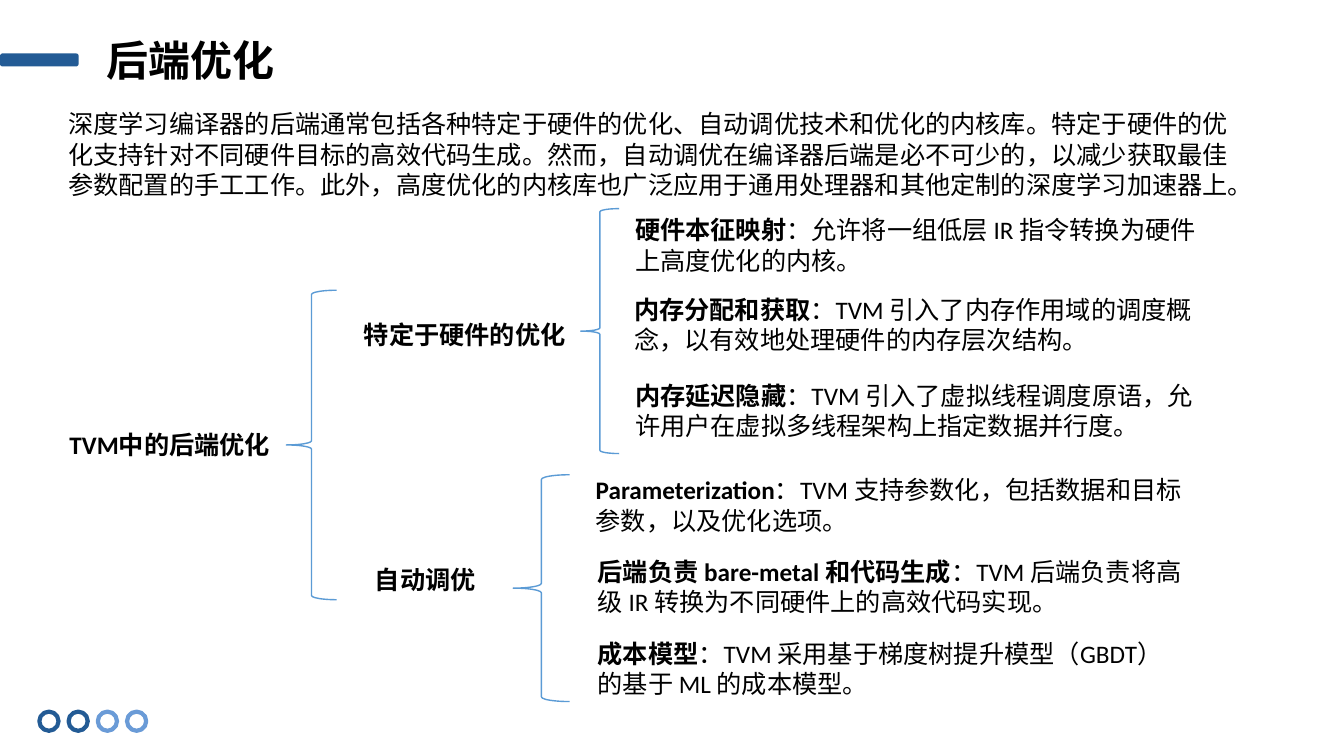
from pptx import Presentation
from pptx.dml.color import RGBColor
from pptx.enum.shapes import MSO_SHAPE as SHAPE
from pptx.enum.text import MSO_ANCHOR as ANCHOR, MSO_AUTO_SIZE as AUTO, PP_ALIGN as ALIGN
from pptx.util import Inches, Pt

BLACK = RGBColor(0x00, 0x00, 0x00)
NAVY = RGBColor(0x23, 0x5B, 0x95)
SKY = RGBColor(0x6A, 0x9B, 0xD7)
BRACE = RGBColor(0x5B, 0x9B, 0xD5)


class SlideBuilder:
    font = "Calibri"
    body_size = 18
    title_size = 30

    def __init__(self, slide):
        self.s = slide

    def add_runs(self, tf, runs, size):
        p = tf.paragraphs[0]
        p.alignment = ALIGN.LEFT
        for text, bold in runs:
            r = p.add_run()
            r.text = text
            r.font.name = self.font
            r.font.size = Pt(size)
            r.font.bold = bold
            r.font.color.rgb = BLACK

    def title(self, text, x, y, w, h):
        sp = self.s.shapes.title
        sp.left, sp.top, sp.width, sp.height = map(Inches, (x, y, w, h))
        tf = sp.text_frame
        tf.word_wrap = False
        tf.auto_size = AUTO.NONE
        tf.vertical_anchor = ANCHOR.MIDDLE
        self.add_runs(tf, [(text, True)], self.title_size)

    def text(self, runs, x, y, w, h):
        sp = self.s.shapes.add_textbox(*map(Inches, (x, y, w, h)))
        sp.text_frame.word_wrap = True
        self.add_runs(sp.text_frame, runs, self.body_size)

    def shape(self, kind, x, y, w, h, fill=None, line=None, weight=1):
        sp = self.s.shapes.add_shape(kind, *map(Inches, (x, y, w, h)))
        sp.shadow.inherit = False
        if fill is None:
            sp.fill.background()
        else:
            sp.fill.solid()
            sp.fill.fore_color.rgb = fill
        if line is None:
            sp.line.fill.background()
        else:
            sp.line.color.rgb = line
            sp.line.width = Pt(weight)
        return sp

    def brace(self, x, y, w, h):
        self.shape(SHAPE.LEFT_BRACE, x, y, w, h, line=BRACE)


def main():
    prs = Presentation()
    prs.slide_width, prs.slide_height = Inches(13.33), Inches(7.5)
    b = SlideBuilder(prs.slides.add_slide(prs.slide_layouts[5]))

    # Title with its accent bar
    bar = b.shape(SHAPE.ROUNDED_RECTANGLE, 0, 0.53, 0.78, 0.13, fill=NAVY)
    bar.adjustments[0] = 0.2
    b.title("后端优化", 0.96, 0.29, 1.87, 0.6)

    # Corner rings
    for i, color in enumerate((NAVY, NAVY, SKY, SKY)):
        b.shape(SHAPE.OVAL, 0.39 + i * 0.29, 7.06, 0.19, 0.19, line=color, weight=3)

    # Introduction
    intro = ("深度学习编译器的后端通常包括各种特定于硬件的优化、自动调优技术和优化的内核库。"
             "特定于硬件的优化支持针对不同硬件目标的高效代码生成。"
             "然而，自动调优在编译器后端是必不可少的，以减少获取最佳参数配置的手工工作。"
             "此外，高度优化的内核库也广泛应用于通用处理器和其他定制的深度学习加速器上。")
    b.text([(intro, False)], 0.58, 1.03, 11.93, 1.01)

    # Tree: root and branch labels
    for label, x, y, w in (("TVM中的后端优化", 0.59, 4.21, 2.25),
                           ("特定于硬件的优化", 3.51, 3.12, 2.25),
                           ("自动调优", 3.62, 5.55, 1.36)):
        b.text([(label, True)], x, y, w, 0.4)

    # Tree: braces
    b.brace(2.84, 2.88, 0.5, 3.07)
    b.brace(5.76, 2.07, 0.38, 2.43)
    b.brace(5.09, 4.71, 0.56, 2.25)

    # Tree: leaves
    leaves = (
        ("硬件本征映射", "：允许将一组低层 IR 指令转换为硬件上高度优化的内核。", 6.2, 2.08, 5.95),
        ("内存分配和获取", "：TVM 引入了内存作用域的调度概念，以有效地处理硬件的内存层次结构。",
         6.19, 2.87, 5.83),
        ("内存延迟隐藏", "：TVM 引入了虚拟线程调度原语，允许用户在虚拟多线程架构上指定数据并行度。",
         6.2, 3.72, 5.88),
        ("Parameterization", "：TVM 支持参数化，包括数据和目标参数，以及优化选项。",
         5.81, 4.66, 6.22),
        ("后端负责 bare-metal 和代码生成", "：TVM 后端负责将高级 IR 转换为不同硬件上的高效代码实现。",
         5.83, 5.47, 6.2),
        ("成本模型", "：TVM 采用基于梯度树提升模型（GBDT）的基于 ML 的成本模型。",
         5.83, 6.28, 5.9),
    )
    for term, detail, x, y, w in leaves:
        b.text([(term, True), (detail, False)], x, y, w, 0.71)

    prs.save("out.pptx")


if __name__ == "__main__":
    main()
